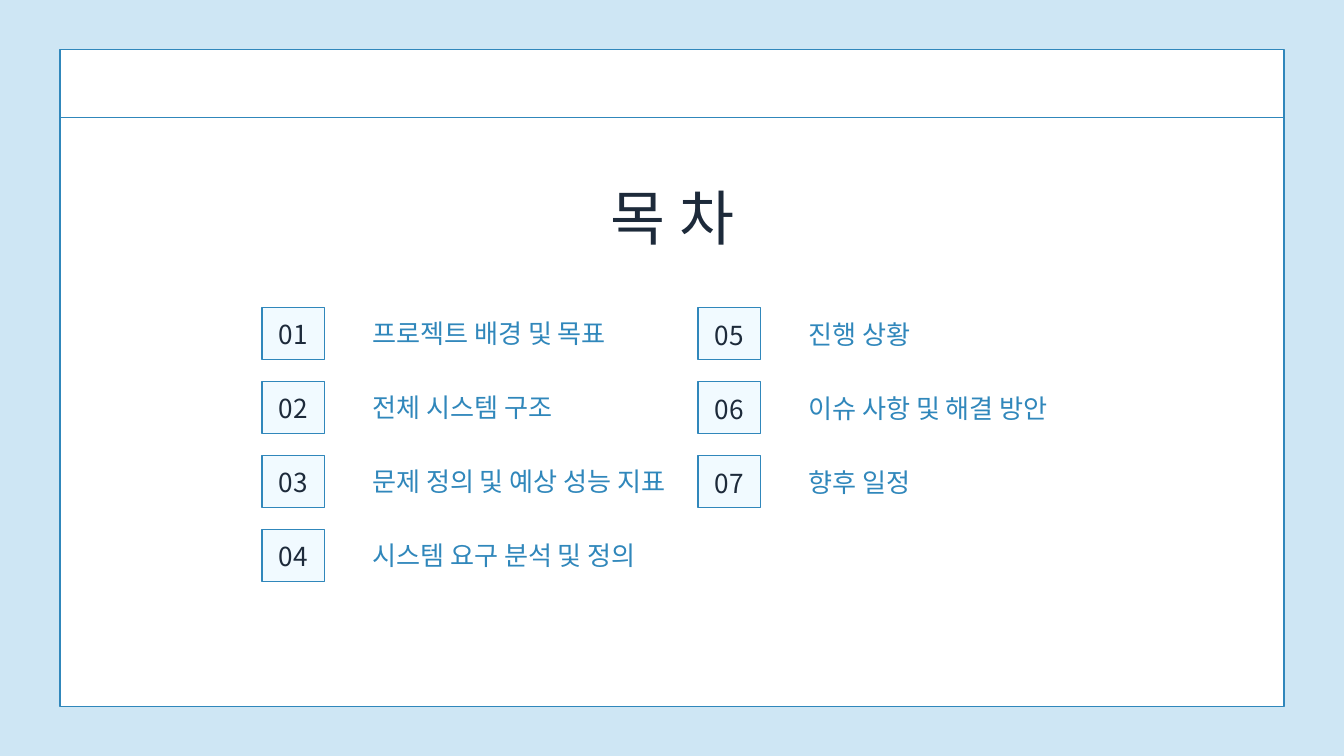
from dataclasses import dataclass

from lxml import etree
from pptx import Presentation
from pptx.dml.color import RGBColor
from pptx.enum.shapes import MSO_CONNECTOR, MSO_SHAPE
from pptx.enum.text import MSO_AUTO_SIZE, PP_ALIGN
from pptx.oxml.ns import qn
from pptx.util import Inches, Pt

RECTANGLE = MSO_SHAPE.RECTANGLE
STRAIGHT = MSO_CONNECTOR.STRAIGHT
FIT_SHAPE = MSO_AUTO_SIZE.SHAPE_TO_FIT_TEXT
LEFT, CENTER = PP_ALIGN.LEFT, PP_ALIGN.CENTER


@dataclass(frozen=True)
class Theme:
    font: str = "Noto Sans CJK KR"
    background: RGBColor = RGBColor.from_string("CEE6F4")
    panel: RGBColor = RGBColor.from_string("FFFFFF")
    badge: RGBColor = RGBColor.from_string("F1FAFF")
    accent: RGBColor = RGBColor.from_string("3087BB")
    ink: RGBColor = RGBColor.from_string("1D2A3A")
    title_size: float = 64
    title_leading: float = 89.6
    item_size: float = 28
    item_leading: float = 33.6
    line_width: float = 1.5


@dataclass(frozen=True)
class Box:
    left: float
    top: float
    width: float
    height: float

    def lengths(self) -> list:
        return [Inches(v) for v in (self.left, self.top, self.width, self.height)]


@dataclass(frozen=True)
class Column:
    left: float
    text_drop: float
    items: tuple


THEME = Theme()
FRAME = Box(0.89, 0.74, 18.22, 9.77)
HEADER_Y = 1.75
FIRST_ROW, ROW_PITCH = 4.58, 1.1
COLUMNS = (
    Column(3.9, 0.16, (
        "프로젝트 배경 및 목표",
        "전체 시스템 구조",
        "문제 정의 및 예상 성능 지표",
        "시스템 요구 분석 및 정의",
    )),
    Column(10.39, 0.18, ("진행 상황", "이슈 사항 및 해결 방안", "향후 일정")),
)


def style_line(line) -> None:
    line.color.rgb = THEME.accent
    line.width = Pt(THEME.line_width)


def add_panel(slide, box: Box, fill: RGBColor) -> None:
    sp = slide.shapes.add_shape(RECTANGLE, *box.lengths())
    sp.shadow.inherit = False
    sp.fill.solid()
    sp.fill.fore_color.rgb = fill
    style_line(sp.line)


def add_header_rule(slide) -> None:
    y = Inches(HEADER_Y)
    rule = slide.shapes.add_connector(
        STRAIGHT, Inches(FRAME.left), y, Inches(FRAME.left + FRAME.width), y)
    style_line(rule.line)
    etree.SubElement(rule._element.spPr, qn("a:effectLst"))


def add_text(slide, box: Box, text: str, color: RGBColor, align=LEFT,
             size: float = THEME.item_size,
             leading: float = THEME.item_leading) -> None:
    tf = slide.shapes.add_textbox(*box.lengths()).text_frame
    frame_format = {"word_wrap": True, "auto_size": FIT_SHAPE, "margin_left": 0,
                    "margin_top": 0, "margin_right": 0, "margin_bottom": 0}
    for name, value in frame_format.items():
        setattr(tf, name, value)
    p = tf.paragraphs[0]
    p.alignment = align
    p.line_spacing = Pt(leading)
    r = p.add_run()
    r.text = text
    r.font.name = THEME.font
    r.font.size = Pt(size)
    r.font.color.rgb = color
    east_asian = etree.SubElement(r.font._element, qn("a:ea"))
    east_asian.set("typeface", THEME.font)


def add_item(slide, column: Column, row: int, number: int, label: str) -> None:
    """Draw one contents entry: numbered badge and its label."""
    top = FIRST_ROW + row * ROW_PITCH
    text_top = top + column.text_drop
    add_panel(slide, Box(column.left, top, 0.93, 0.77), THEME.badge)
    add_text(slide, Box(column.left - 0.18, text_top, 1.29, 0.45),
             f"{number:02}", THEME.ink, CENTER)
    add_text(slide, Box(column.left + 1.64, text_top - 0.02, 4.63, 0.47),
             label, THEME.accent)


def main() -> None:
    prs = Presentation()
    prs.slide_width, prs.slide_height = Inches(20), Inches(11.25)
    slide = prs.slides.add_slide(prs.slide_layouts[6])
    background = slide.background.fill
    background.solid()
    background.fore_color.rgb = THEME.background

    add_panel(slide, FRAME, THEME.panel)
    add_header_rule(slide)
    add_text(slide, Box(6.94, 2.51, 6.13, 1.19), "목 차", THEME.ink, CENTER,
             THEME.title_size, THEME.title_leading)

    number = 1
    for column in COLUMNS:
        for row, label in enumerate(column.items):
            add_item(slide, column, row, number, label)
            number += 1

    prs.save("out.pptx")


if __name__ == "__main__":
    main()
